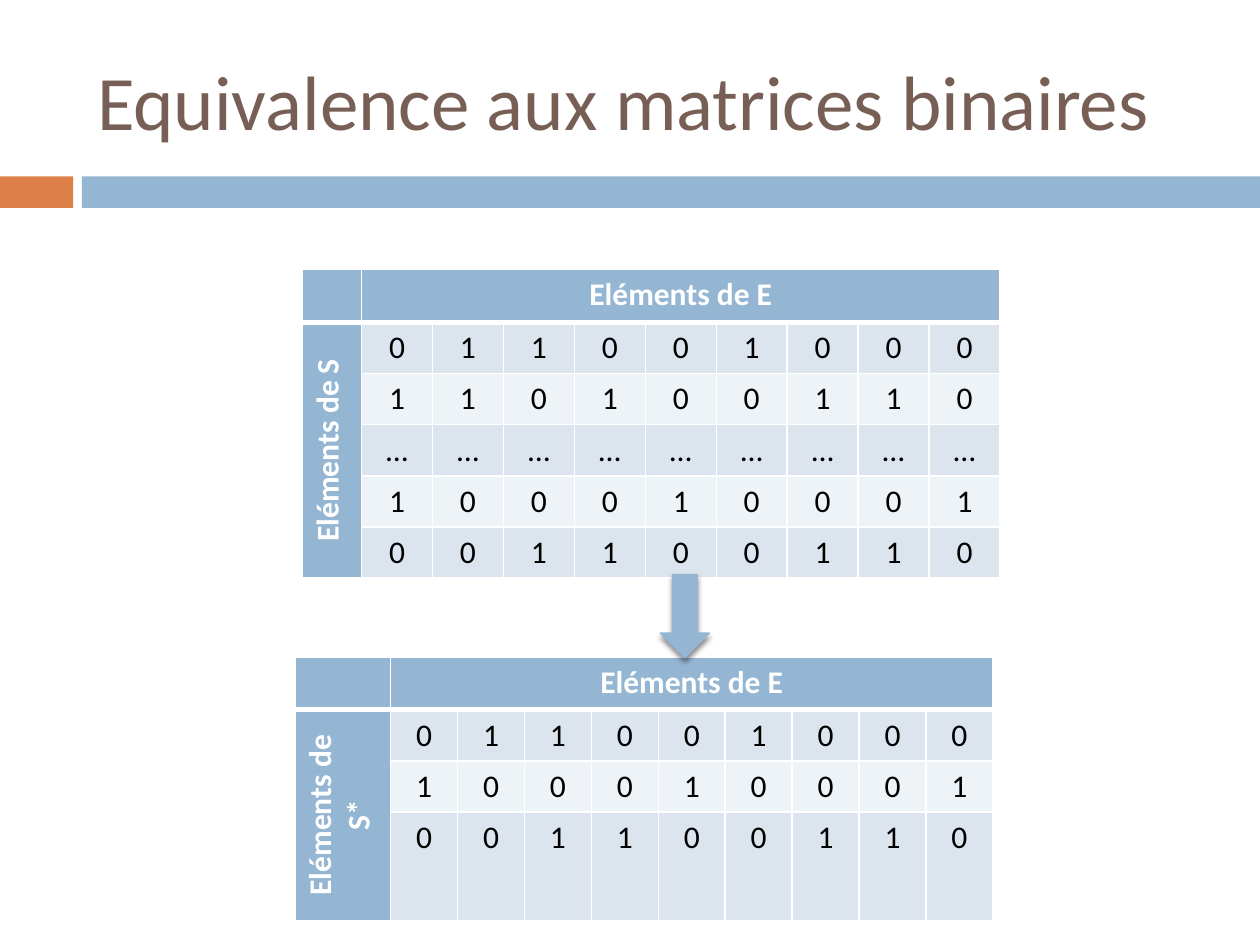
import pptx
import pptx.dml.color
import pptx.enum.shapes
import pptx.enum.text
import pptx.oxml
import pptx.oxml.ns
import pptx.util

Pt = pptx.util.Pt
SHAPE = pptx.enum.shapes.MSO_SHAPE
ALIGN = pptx.enum.text.PP_ALIGN
FONT = "Calibri"
BLUE, ORANGE, BROWN = "94B6D2", "DD8047", "775F55"
WHITE, BLACK = "FFFFFF", "000000"
BANDS = ("DCE5EE", "EEF3F7")
NAMESPACE = pptx.oxml.ns.nsdecls("a")
TABLE_WIDTH = 398.88
FULL_ROWS = ["011001000", "110100110", "………………………", "100010001", "001100110"]
REDUCED_ROWS = [FULL_ROWS[0], FULL_ROWS[3], FULL_ROWS[4]]


def color(value):
    return pptx.dml.color.RGBColor.from_string(value)


def set_text(frame, text, size, tint, bold=False, align=ALIGN.CENTER):
    frame.text = text
    para = frame.paragraphs[0]
    para.alignment = align
    for span in para.runs:
        span.font.name = FONT
        span.font.size = Pt(size)
        span.font.bold = bold
        span.font.color.rgb = color(tint)


def add_title(page, text):
    title = page.shapes.title
    title.left, title.top, title.width, title.height = Pt(48.24), Pt(18), Pt(642.24), Pt(77.76)
    title.text_frame.vertical_anchor = pptx.enum.text.MSO_ANCHOR.MIDDLE
    set_text(title.text_frame, text, 44, BROWN, align=ALIGN.LEFT)


def add_block(page, kind, left, top, width, height, fill):
    block = page.shapes.add_shape(kind, Pt(left), Pt(top), Pt(width), Pt(height))
    block.shadow.inherit = False
    block.fill.solid()
    block.fill.fore_color.rgb = color(fill)
    block.line.fill.background()
    return block


def add_down_arrow(page, left, top, width, height):
    arrow = add_block(page, SHAPE.DOWN_ARROW, left, top, width, height, BLUE)
    arrow.line.color.rgb = color(BLUE)
    arrow.line.width = Pt(0.79)
    effects = arrow._element.spPr.find(pptx.oxml.ns.qn("a:effectLst"))
    effects.append(pptx.oxml.parse_xml(
        f'<a:outerShdw {NAMESPACE} blurRad="{Pt(3)}" dist="{Pt(2.4)}" dir="5400000" rotWithShape="0">'
        f'<a:srgbClr val="{BLACK}"><a:alpha val="45000"/></a:srgbClr></a:outerShdw>'))


def style_cell(cell, fill, top=1, bottom=1):
    properties = cell._tc.get_or_add_tcPr()
    for side, width in (("L", 1), ("R", 1), ("T", top), ("B", bottom)):
        properties.append(pptx.oxml.parse_xml(
            f'<a:ln{side} {NAMESPACE} w="{Pt(width)}"><a:solidFill>'
            f'<a:srgbClr val="{WHITE}"/></a:solidFill></a:ln{side}>'))
    cell.fill.solid()
    cell.fill.fore_color.rgb = color(fill)


def add_matrix(page, left, top, label_width, label, rows, heights):
    columns = len(rows[0])
    table = page.shapes.add_table(
        len(rows) + 1, columns + 1, Pt(left), Pt(top), Pt(TABLE_WIDTH), Pt(sum(heights))).table
    for index, column in enumerate(table.columns):
        column.width = Pt((TABLE_WIDTH - label_width) / columns if index else label_width)
    for row, height in zip(table.rows, heights):
        row.height = Pt(height)
    for index in range(columns + 1):
        style_cell(table.cell(0, index), BLUE, bottom=3)
    for row, values in enumerate(rows, 1):
        top_width = 3 if row == 1 else 1
        style_cell(table.cell(row, 0), BLUE, top=top_width)
        for column, value in enumerate(values, 1):
            cell = table.cell(row, column)
            style_cell(cell, BANDS[(row - 1) % 2], top=top_width)
            set_text(cell.text_frame, value, 18, BLACK)
    header, side = table.cell(0, 1), table.cell(1, 0)
    header.merge(table.cell(0, columns))
    side.merge(table.cell(len(rows), 0))
    set_text(header.text_frame, "Eléments de E", 18, WHITE, bold=True)
    set_text(side.text_frame, label, 18, WHITE, bold=True)
    side._tc.get_or_add_tcPr().set("vert", "vert270")


def main():
    deck = pptx.Presentation()
    deck.slide_width, deck.slide_height = Pt(720), Pt(540)
    page = deck.slides.add_slide(deck.slide_layouts[5])
    add_block(page, SHAPE.RECTANGLE, 0, 100.8, 41.76, 18, ORANGE)
    add_block(page, SHAPE.RECTANGLE, 46.8, 100.8, 673.2, 18, BLUE)
    add_title(page, "Equivalence aux matrices binaires")
    add_matrix(page, 172.8, 154.08, 33.84, "Eléments de S", FULL_ROWS, [30.24] + [29.2] * 5)
    add_matrix(page, 168.48, 375.4, 54.72, "Eléments de S*", REDUCED_ROWS, [30.24, 29.2, 29.2, 61.7])
    add_down_arrow(page, 377.28, 328.32, 28.08, 47.52)
    deck.save("out.pptx")


main()
